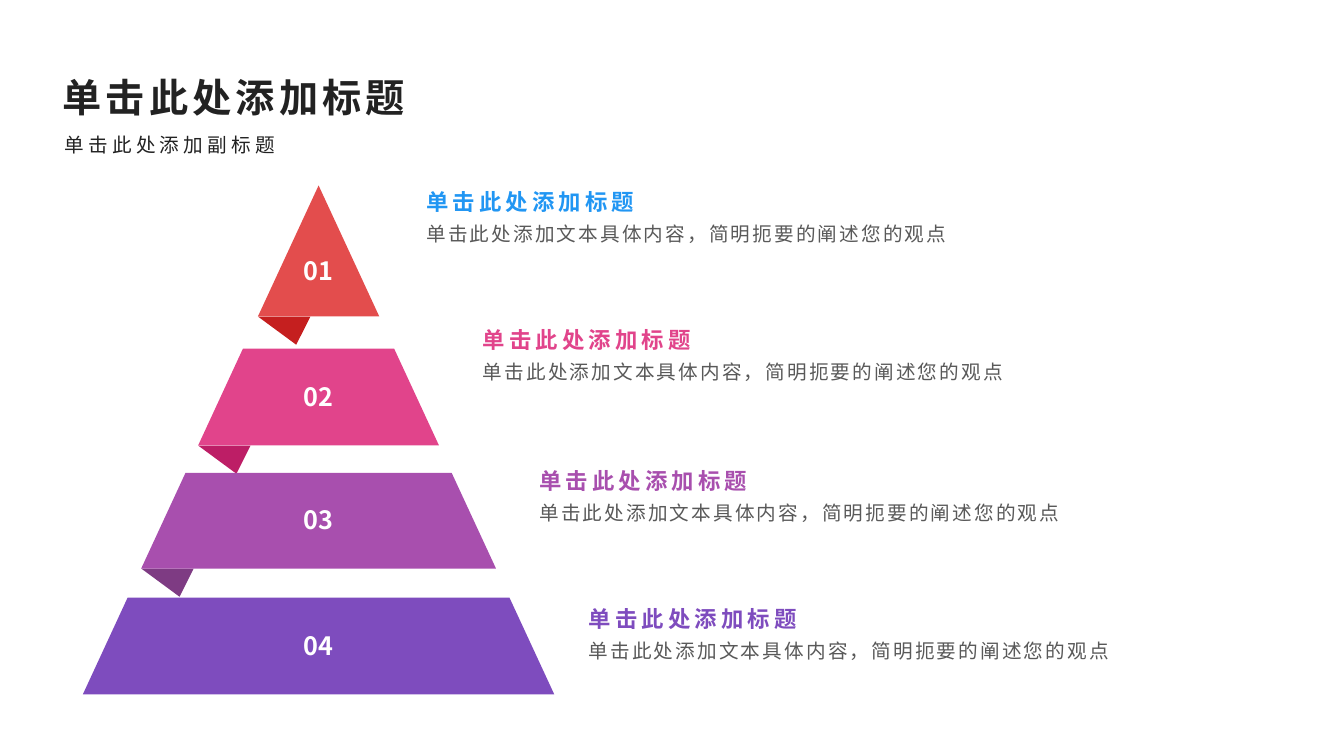
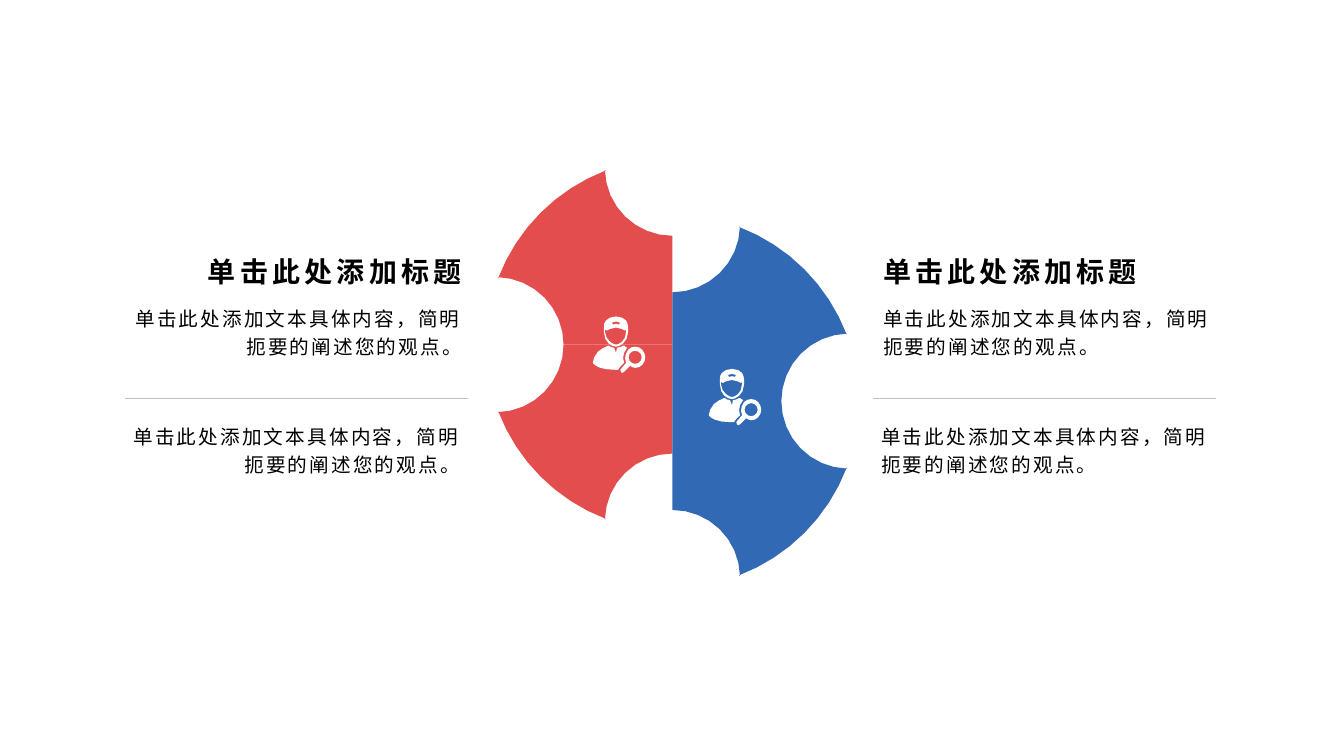
"""Build a four-tier pyramid slide and a two-sided puzzle comparison slide."""
from math import cos, dist, radians, sin

from lxml import etree
from pptx import Presentation
from pptx.dml.color import RGBColor
from pptx.enum.shapes import MSO_CONNECTOR
from pptx.enum.text import MSO_ANCHOR, MSO_AUTO_SIZE, PP_ALIGN
from pptx.oxml.ns import qn
from pptx.util import Inches, Pt

LEFT, CENTER, RIGHT = PP_ALIGN.LEFT, PP_ALIGN.CENTER, PP_ALIGN.RIGHT
TOP, BOTTOM = MSO_ANCHOR.TOP, MSO_ANCHOR.BOTTOM
STRAIGHT, NO_FIT = MSO_CONNECTOR.STRAIGHT, MSO_AUTO_SIZE.NONE
FONT = "Noto Sans CJK SC"
WHITE, BLACK, INK, GRAY, RULE = "FFFFFF", "000000", "222222", "595959", "BFBFBF"
RED, BLUE = "E34D4D", "3269B5"
HEAD_INSETS = (0.1, 0.05, 0.1, 0)
BODY_INSETS = (0.1, 0, 0.1, 0.05)
BOX_INSETS = (0.1, 0.05, 0.1, 0.05)

TITLE = "单击此处添加标题"
SUBTITLE = "单击此处添加副标题"
DETAIL = "单击此处添加文本具体内容，简明扼要的阐述您的观点"

APEX_X, APEX_Y, SLOPE = 3.16, 1.84, 0.463
TIERS = [
    dict(top=1.84, bottom=3.14, fill=RED, fold="C51F1F",
         number="01", number_y=2.48, color="2196F3", text_at=(4.13, 1.76)),
    dict(top=3.46, bottom=4.42, fill="E1448B", fold="BD1E66",
         number="02", number_y=3.73, color="E1448B", text_at=(4.69, 3.13)),
    dict(top=4.69, bottom=5.64, fill="A84FAE", fold="7E3B83",
         number="03", number_y=4.95, color="A84FAE", text_at=(5.25, 4.53)),
    dict(top=5.93, bottom=6.89, fill="7E4CBE", fold=None,
         number="04", number_y=6.2, color="7E4CBE", text_at=(5.74, 5.9)),
]

HUB_X, RIM_R, BITE_R, BITE_AT = 6.67, 1.85, 0.67, 1.75
SIDES = [
    dict(flip=-1, hub_y=3.42, fill=RED, icon_at=(5.88, 3.14),
         x=1.24, note_x=1.22, align=RIGHT, slots=(1, 2)),
    dict(flip=1, hub_y=3.98, fill=BLUE, icon_at=(7.03, 3.66),
         x=8.66, note_x=8.64, align=LEFT, slots=(3, 4)),
]

# Contours in hundredths of an inch: a start, then lines (2) or curves (6).
LENS = [(42, 30), (45, 30, 47, 31, 49, 33), (51, 35, 52, 38, 52, 41),
        (52, 43, 51, 46, 49, 48), (47, 50, 45, 51, 42, 51),
        (40, 51, 39, 50, 37, 49), (31, 55), (29, 56), (28, 55),
        (27, 54, 27, 52, 28, 52), (33, 46),
        (31, 42, 32, 37, 35, 33), (37, 31, 39, 30, 42, 30)]
TORSO = [(15, 29), (16, 29), (17, 30, 19, 31, 21, 31), (23, 36), (24, 31),
         (27, 31, 28, 30, 30, 29), (31, 29), (34, 31),
         (30, 36, 29, 41, 31, 46), (27, 50), (25, 53), (23, 53),
         (3, 53, 0, 46, 0, 46), (0, 44, 2, 37, 5, 35), (6, 33, 13, 30, 15, 29)]
FACE = [(23, 11), (17, 11, 15, 14, 14, 14), (12, 13), (12, 15),
        (12, 20, 15, 23, 17, 25), (19, 27, 22, 28, 23, 28),
        (24, 28, 27, 27, 29, 25), (31, 23, 33, 20, 33, 15), (33, 13),
        (32, 14), (30, 14, 29, 11, 23, 11)]
BADGE = [(23, 5), (19, 6), (20, 8), (22, 7, 24, 7, 26, 8), (27, 6), (23, 5)]
HEAD = [(23, 0), (28, 0, 31, 2, 33, 4), (34, 6, 35, 8, 35, 11), (35, 15),
        (35, 26, 26, 30, 23, 30), (19, 30, 11, 26, 11, 15), (11, 11),
        (11, 8, 11, 6, 13, 4), (15, 2, 18, 0, 23, 0)]


def rgb(color):
    return RGBColor.from_string(color)


def write(sp, text, size, color, bold=False, spacing=0, line=None, align=LEFT,
          anchor=TOP, insets=BOX_INSETS, wrap=True):
    tf = sp.text_frame
    tf.text = text
    tf.word_wrap, tf.auto_size = wrap, NO_FIT
    tf.vertical_anchor = anchor
    (tf.margin_left, tf.margin_top,
     tf.margin_right, tf.margin_bottom) = map(Inches, insets)
    p = tf.paragraphs[0]
    pPr = p._p.get_or_add_pPr()
    pPr.set("marL", "0")
    pPr.set("indent", "0")
    etree.SubElement(pPr, qn("a:buNone"))
    p.alignment, p.space_before, p.line_spacing = align, Pt(0), line or 1.0
    r = p.runs[0]
    r.font.name, r.font.size, r.font.bold = FONT, Pt(size), bold
    r.font.color.rgb = rgb(color)
    rPr = r._r.get_or_add_rPr()
    rPr.set("spc", str(int(spacing * 100)))
    etree.SubElement(rPr, qn("a:ea")).set("typeface", FONT)


def place(sp, x, y, w, h):
    sp.left, sp.top, sp.width, sp.height = map(Inches, (x, y, w, h))
    return sp


def textbox(s, x, y, w, h):
    return s.shapes.add_textbox(*map(Inches, (x, y, w, h)))


def outline(s, contours, fill):
    contours = [[(Inches(x), Inches(y)) for x, y in c] for c in contours]
    builder = s.shapes.build_freeform(*contours[0][0])
    for i, points in enumerate(contours):
        if i:
            builder.move_to(*points[0])
        builder.add_line_segments(points[1:], close=True)
    sp = builder.convert_to_shape()
    sp.shadow.inherit = False
    sp.fill.solid()
    sp.fill.fore_color.rgb = rgb(fill)
    sp.line.fill.background()


def rule(s, x, y, w):
    line = s.shapes.add_connector(STRAIGHT, *map(Inches, (x, y, x + w, y)))
    line.line.color.rgb = rgb(RULE)
    line.line.width = Pt(0.25)
    etree.SubElement(line._element.spPr, qn("a:effectLst"))


def arc(cx, cy, radius, start, end, steps=8):
    angles = [radians(start + (end - start) * i / steps) for i in range(steps + 1)]
    return [(cx + radius * cos(a), cy + radius * sin(a)) for a in angles]


def flatten(contour):
    points = [contour[0]]
    for segment in contour[1:]:
        if len(segment) == 2:
            points.append(segment)
            continue
        knots = [points[-1], segment[:2], segment[2:4], segment[4:]]
        steps = max(2, round(dist(knots[0], knots[3]) / 5))
        for i in range(1, steps + 1):
            t = i / steps
            weights = ((1 - t) ** 3, 3 * t * (1 - t) ** 2, 3 * t * t * (1 - t), t ** 3)
            points.append(tuple(sum(w * k[axis] for w, k in zip(weights, knots))
                                for axis in (0, 1)))
    return points


def person_icon(s, x, y):
    contours = [flatten(c) for c in (LENS, TORSO, FACE, BADGE, HEAD)]
    contours.append(arc(42, 40.5, 6.5, 0, 360, steps=12))
    outline(s, [[(x + px / 100, y + py / 100) for px, py in c] for c in contours], WHITE)


def puzzle_half(s, flip_x, hub_y, fill):
    quarter = (arc(0, 0, RIM_R, 69.1, 20.9) + arc(BITE_AT, 0, BITE_R, 91.5, 180)
               + [(0, 0)] + arc(0, BITE_AT, BITE_R, -90, -1.5))
    for flip_y in (-1, 1):
        outline(s, [[(HUB_X + flip_x * x, hub_y + flip_y * y) for x, y in quarter]], fill)


def pyramid_slide(prs):
    s = prs.slides.add_slide(prs.slide_layouts[1])
    write(place(s.shapes.title, 0.52, 0.68, 12.34, 0.57),
          TITLE, 28, INK, bold=True, spacing=3)
    write(place(s.placeholders[1], 0.54, 1.27, 12.33, 0.34), SUBTITLE, 14, INK, spacing=3)
    for tier in TIERS:
        top, bottom = tier["top"], tier["bottom"]
        upper, lower = (SLOPE * (y - APEX_Y) for y in (top, bottom))
        corner = APEX_X - lower
        if tier["fold"]:
            outline(s, [[(corner, bottom), (corner + 0.52, bottom),
                         (corner + 0.38, bottom + 0.28)]], tier["fold"])
        outline(s, [[(APEX_X - upper, top), (APEX_X + upper, top),
                     (APEX_X + lower, bottom), (corner, bottom)]], tier["fill"])
        write(textbox(s, 2.9, tier["number_y"], 0.51, 0.43), tier["number"],
              18, WHITE, bold=True, align=CENTER, wrap=False)
        x, y = tier["text_at"]
        write(textbox(s, x, y, 6.89, 0.37), TITLE, 16, tier["color"], bold=True,
              spacing=3, anchor=BOTTOM, insets=HEAD_INSETS)
        write(textbox(s, x, y + 0.37, 6.89, 0.68), DETAIL, 14, GRAY,
              spacing=1.5, line=1.3, insets=BODY_INSETS)


def puzzle_slide(prs):
    s = prs.slides.add_slide(prs.slide_layouts[4])
    title = s.shapes.title._element
    title.getparent().remove(title)
    for side in SIDES:
        x, align = side["x"], side["align"]
        heading, detail = (s.placeholders[i] for i in side["slots"])
        puzzle_half(s, side["flip"], side["hub_y"], side["fill"])
        person_icon(s, *side["icon_at"])
        write(place(heading, x, 2.41, 3.44, 0.45), TITLE, 20, BLACK, bold=True,
              spacing=3, line=1.2, align=align, anchor=BOTTOM, insets=HEAD_INSETS)
        for sp in (place(detail, x, 3, 3.44, 0.74),
                   textbox(s, side["note_x"], 4.17, 3.44, 0.74)):
            write(sp, DETAIL + "。", 14, BLACK, spacing=1.5, line=1.2,
                  align=align, insets=BODY_INSETS)
        rule(s, x, 3.95, 3.4)


def main():
    prs = Presentation()
    prs.slide_width, prs.slide_height = Inches(13.33), Inches(7.5)
    pyramid_slide(prs)
    puzzle_slide(prs)
    prs.save("out.pptx")


if __name__ == "__main__":
    main()
